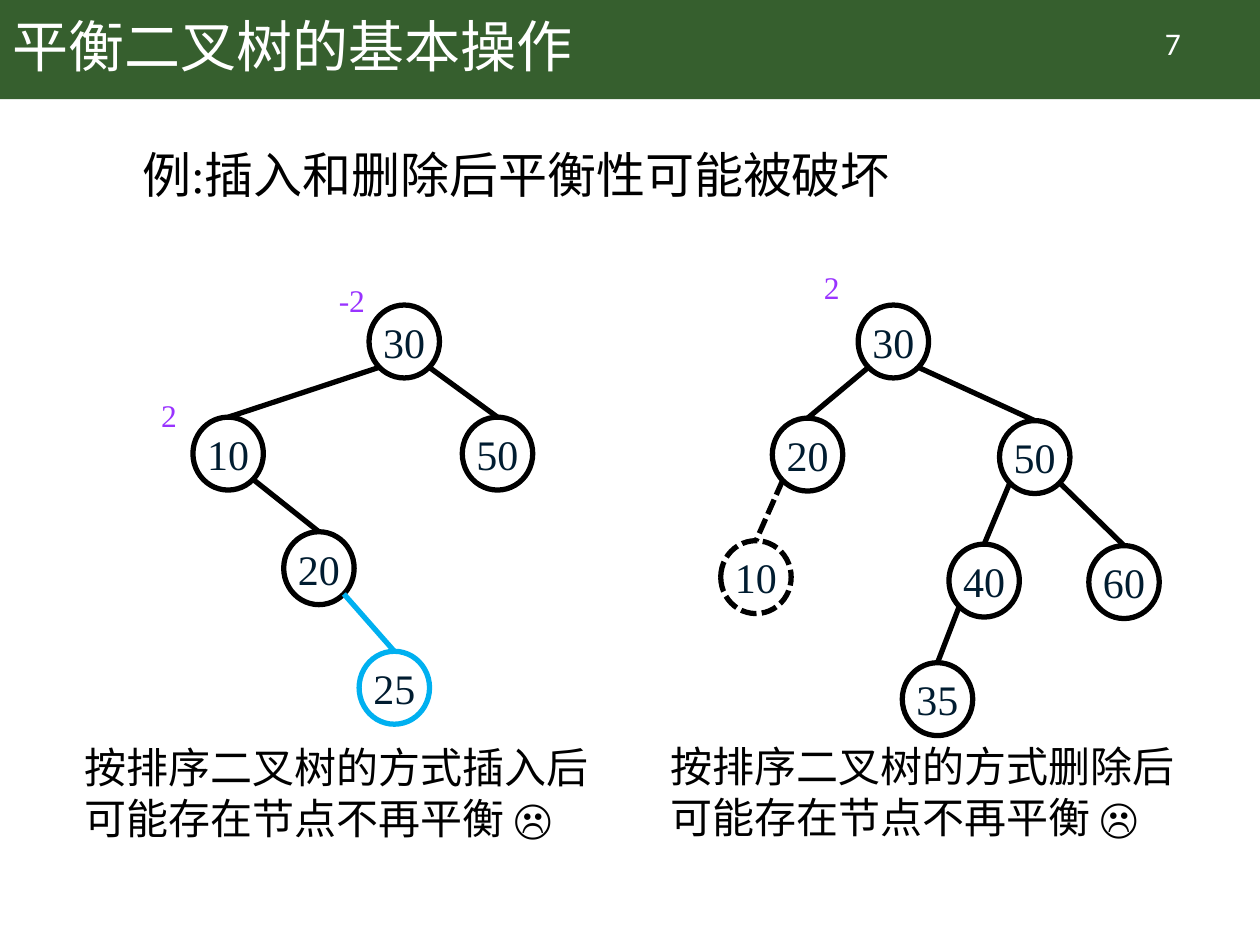
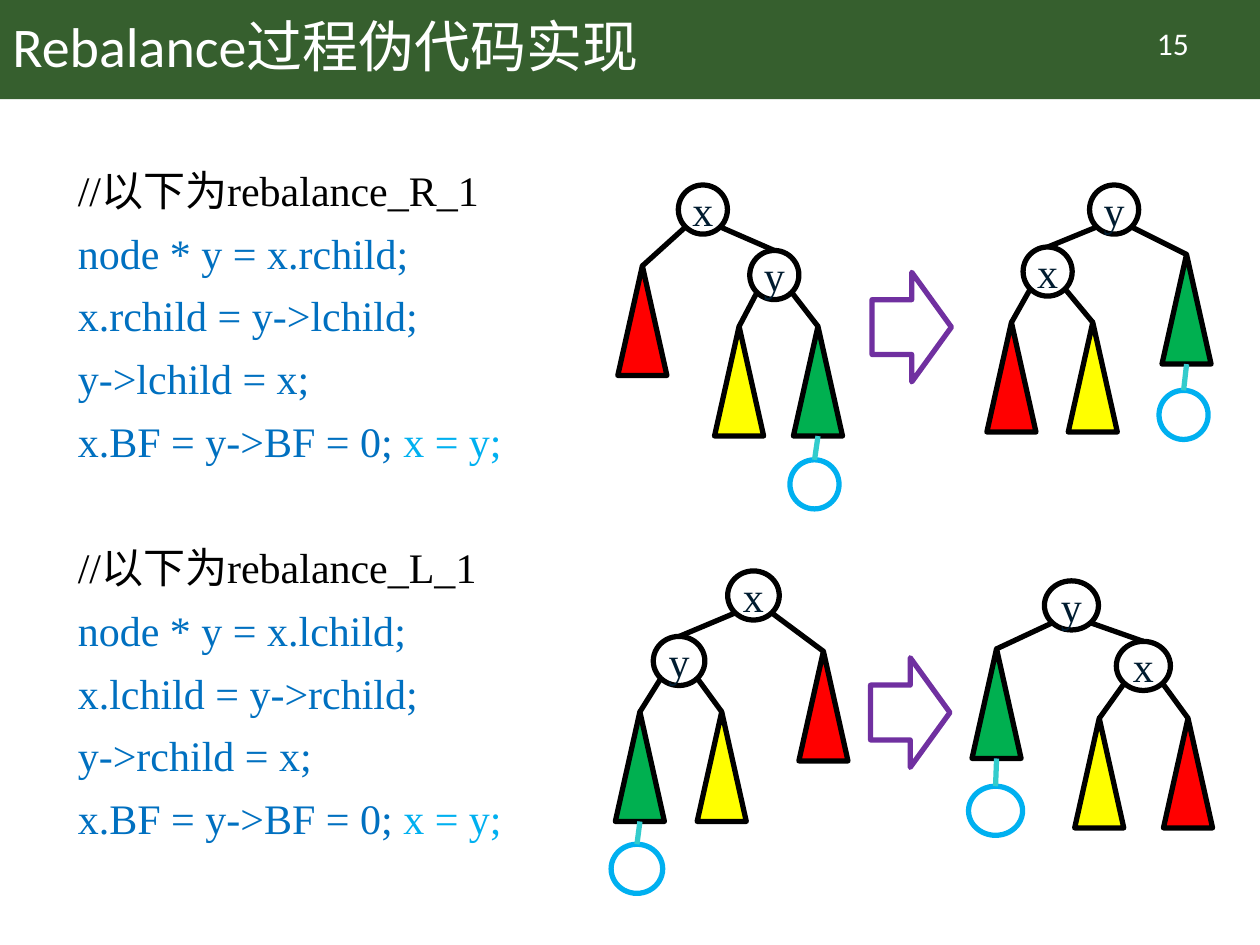
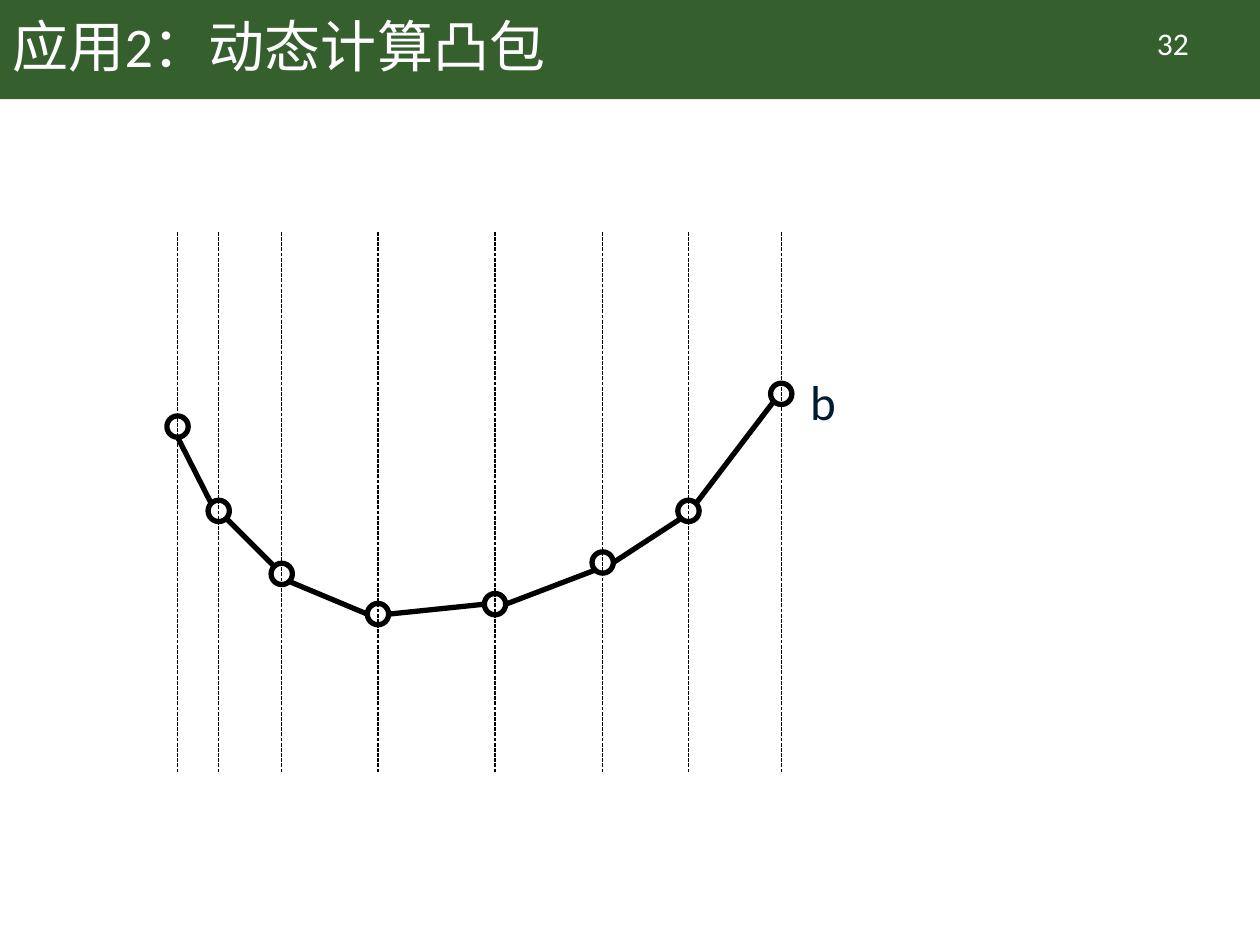
import math

import lxml.etree
import pptx
import pptx.dml.color
import pptx.enum.dml
import pptx.enum.shapes
import pptx.enum.text
import pptx.oxml.ns
import pptx.util

Cm = pptx.util.Cm
Pt = pptx.util.Pt
FORMS = pptx.enum.shapes.MSO_SHAPE
DASHED = pptx.enum.dml.MSO_LINE.SQUARE_DOT
CENTER = pptx.enum.text.PP_ALIGN.CENTER
MIDDLE = pptx.enum.text.MSO_ANCHOR.MIDDLE

COLORS = {
    "band": "365F2E", "white": "FFFFFF", "black": "000000", "label": "001C30",
    "balance": "9933FF", "code": "0070C0", "inserted": "00B0F0",
    "inserted edge": "33CCCC", "red": "FF0000", "yellow": "FFFF00",
    "green": "00B050", "arrow": "7030A0",
}
SERIF = "Times New Roman"
SANS = "Calibri"

# Line styles of tree parts: (outline, edge from the parent, dash)
OUTLINES = {
    "inserted": ("inserted", "inserted", None),
    "deleted": ("black", "black", DASHED),
    "new": ("inserted", "inserted edge", None),
}
PLAIN = ("black", "black", None)
SUBTREES = ("red", "yellow", "green")
SUBTREE_SIZE = (0.99, 2.21)

# Trees: (name, parent, centre x, top, kind)
INSERTION_TREE = [
    ("30", None, 8.15, 6.15, "key"), ("10", "30", 4.6, 8.41, "key"),
    ("50", "30", 10.03, 8.41, "key"), ("20", "10", 6.43, 10.72, "key"),
    ("25", "20", 7.95, 13.13, "inserted"),
]
DELETION_TREE = [
    ("30", None, 18.01, 6.15, "key"), ("20", "30", 16.28, 8.43, "key"),
    ("10", "20", 15.24, 10.9, "deleted"), ("50", "30", 20.86, 8.48, "key"),
    ("40", "50", 19.84, 10.97, "key"), ("35", "40", 18.9, 13.36, "key"),
    ("60", "50", 22.66, 11, "key"),
]
# Rotation trees, each with the width of its circles
ROTATION_TREES = [
    (0.99, [("x", None, 14.17, 3.73, "key"), ("red", "x", 12.95, 5.36, "red"),
            ("y", "x", 15.61, 5.05, "key"), ("yellow", "y", 14.9, 6.58, "yellow"),
            ("green", "y", 16.49, 6.58, "green"), ("", "green", 16.42, 9.27, "new")]),
    (0.99, [("y", None, 22.46, 3.73, "key"), ("x", "y", 21.12, 4.98, "key"),
            ("red", "x", 20.39, 6.5, "red"), ("yellow", "x", 22.03, 6.5, "yellow"),
            ("green", "y", 23.92, 5.13, "green"), ("", "green", 23.86, 7.87, "new")]),
    (1.04, [("x", None, 15.19, 11.51, "key"), ("red", "x", 16.6, 13.13, "red"),
            ("y", "x", 13.69, 12.83, "key"), ("yellow", "y", 14.55, 14.35, "yellow"),
            ("green", "y", 12.9, 14.35, "green"), ("", "green", 12.84, 17.02, "new")]),
    (1.09, [("y", None, 21.6, 11.71, "key"), ("x", "y", 23.05, 12.93, "key"),
            ("red", "x", 23.95, 14.48, "red"), ("yellow", "x", 22.16, 14.48, "yellow"),
            ("green", "y", 20.09, 13.08, "green"), ("", "green", 20.07, 15.85, "new")]),
]

# Hull points from left to right, and the rim angles where each edge leaves and arrives
HULL = [(3.58, 8.6), (4.41, 10.3), (5.68, 11.57), (7.62, 12.38),
        (9.98, 12.18), (12.15, 11.34), (13.88, 10.3), (15.75, 7.94)]
LEAVE = [90, 45, 45, 0, 0, 0, -45]
ARRIVE = [225, 225, 180, 180, 135, 135, 135]


def rgb(name):
    return pptx.dml.color.RGBColor.from_string(COLORS[name])


def apply_format(target, values):
    for attribute, value in values.items():
        setattr(target, attribute, value)


def write(paragraph, runs, size, font):
    """Add runs given as (text, colour) pairs."""
    for text, color in runs:
        run = paragraph.add_run()
        run.text = text
        apply_format(run.font, {"size": Pt(size), "name": font})
        run.font.color.rgb = rgb(color)


def add_text(slide, box, paragraphs, size, font=SERIF, frame_format=None,
             paragraph_format=None):
    frame = slide.shapes.add_textbox(*map(Cm, box)).text_frame
    apply_format(frame, {"word_wrap": True, **(frame_format or {})})
    for index, runs in enumerate(paragraphs):
        paragraph = frame.add_paragraph() if index else frame.paragraphs[0]
        apply_format(paragraph, paragraph_format or {})
        write(paragraph, runs, size, font)
    return frame


def add_form(slide, form, box, fill=None, line=None, dash=None):
    shape = slide.shapes.add_shape(form, *map(Cm, box))
    shape.shadow.inherit = False
    if fill:
        shape.fill.solid()
        shape.fill.fore_color.rgb = rgb(fill)
    else:
        shape.fill.background()
    if line:
        apply_format(shape.line, {"width": Pt(3), "dash_style": dash})
        shape.line.color.rgb = rgb(line)
    else:
        shape.line.fill.background()
    return shape


def add_line(slide, start, end, color="black", width=3, dash=None):
    line = slide.shapes.add_connector(
        pptx.enum.shapes.MSO_CONNECTOR.STRAIGHT, *start, *end)
    line.line.color.rgb = rgb(color)
    apply_format(line.line, {"width": Pt(width), "dash_style": dash})
    lxml.etree.SubElement(line._element.spPr, pptx.oxml.ns.qn("a:effectLst"))
    return line


def rim(oval, degrees):
    """Point on the rim of an oval, clockwise from its right side."""
    angle = math.radians(degrees)
    return (round(oval.left + oval.width / 2 * (1 + math.cos(angle))),
            round(oval.top + oval.height / 2 * (1 + math.sin(angle))))


def add_tree(slide, tree, oval_size):
    parts = {}
    for name, parent, center, top, kind in tree:
        outline, _, dash = OUTLINES.get(kind, PLAIN)
        is_subtree = kind in SUBTREES
        width, height = SUBTREE_SIZE if is_subtree else oval_size
        part = add_form(slide, FORMS.ISOSCELES_TRIANGLE if is_subtree else FORMS.OVAL,
                        (center - width / 2, top, width, height),
                        kind if is_subtree else None, outline, dash)
        if name and not is_subtree:
            apply_format(part.text_frame, dict.fromkeys(
                ("margin_left", "margin_top", "margin_right", "margin_bottom"), 0))
            part.text_frame.vertical_anchor = MIDDLE
            part.text_frame.paragraphs[0].alignment = CENTER
            write(part.text_frame.paragraphs[0], [(name, "label")], 24, SERIF)
        parts[name] = part

    for name, parent, _, _, kind in tree:
        if parent is None:
            continue
        _, color, dash = OUTLINES.get(kind, PLAIN)
        upper, lower = parts[parent], parts[name]
        if parent in SUBTREES:
            start = (upper.left + upper.width // 2, upper.top + upper.height)
        else:
            start = rim(upper, 135 if lower.left < upper.left else 45)
        edge = add_line(slide, start, (lower.left + lower.width // 2, lower.top),
                        color, dash=dash)
        edge.end_connect(lower, 0)


def add_slide(deck, title, number):
    """Slide with the green band, its title and the page number."""
    slide = deck.slides.add_slide(deck.slide_layouts[6])
    add_form(slide, FORMS.RECTANGLE, (0, 0, 25.4, 2), "band")
    add_text(slide, (22.12, 0.36, 3.05, 1.02), [[(number, "white")]], 18, SANS,
             paragraph_format={"alignment": CENTER})
    add_text(slide, (0, 0, 21.9, 2), [[(title, "white")]], 32, SANS,
             {"vertical_anchor": MIDDLE}, {"line_spacing": 0.9})
    return slide


def build_balance_slide(deck):
    slide = add_slide(deck, "平衡二叉树的基本操作", "7")
    add_text(slide, (2.62, 2.92, 20.78, 2.29),
             [[("例:插入和删除后平衡性可能被破坏", "black")]], 28,
             paragraph_format={"line_spacing": 0.9})
    for tree in (INSERTION_TREE, DELETION_TREE):
        add_tree(slide, tree, (1.42, 1.47))
    # Captions under the trees
    for action, left, top in (("插入", 1.45, 14.83), ("删除", 13.26, 14.81)):
        add_text(slide, (left, top, 10.77, 2.31),
                 [[(f"按排序二叉树的方式{action}后", "black")],
                  [("可能存在节点不再平衡 ☹", "black")]], 24,
                 frame_format={"word_wrap": False})
    # Balance factors
    for factor, left, top in (("2", 3, 7.85), ("-2", 6.58, 5.54), ("2", 16.36, 5.28)):
        add_text(slide, (left, top, 1.14, 1.02), [[(factor, "balance")]], 18)


def rotation_code(name, near, far):
    return [
        [(f"//以下为{name}", "black")],
        [(f"node * y = x.{near};", "code")],
        [(f"x.{near} = y->{far};", "code")],
        [(f"y->{far} = x;", "code")],
        [("x.BF = y->BF = 0; ", "code"), ("x = y;", "inserted")],
    ]


def build_rotation_slide(deck):
    slide = add_slide(deck, "Rebalance过程伪代码实现", "15")
    right_case = rotation_code("rebalance_R_1", "rchild", "lchild")
    left_case = rotation_code("rebalance_L_1", "lchild", "rchild")
    code = add_text(slide, (1.32, 3.3, 11.51, 13.72), right_case + left_case, 24,
                    paragraph_format={"line_spacing": 0.9, "space_before": Pt(10)})
    code.paragraphs[0].space_before = Pt(0)
    code.paragraphs[len(right_case)].space_before = Pt(46)
    for width, tree in ROTATION_TREES:
        add_tree(slide, tree, (width, 0.99))
    for left, top in ((17.58, 5.49), (17.55, 13.26)):
        add_form(slide, FORMS.RIGHT_ARROW, (left, top, 1.6, 2.21), line="arrow")


def build_hull_slide(deck):
    slide = add_slide(deck, "应用2：动态计算凸包", "32")
    size = 0.43
    points = [add_form(slide, FORMS.OVAL, (x - size / 2, y - size / 2, size, size),
                       "white", "black") for x, y in HULL]
    for start, end, leave, arrive in zip(points, points[1:], LEAVE, ARRIVE):
        add_line(slide, rim(start, leave), rim(end, arrive))
    for x, _ in HULL:
        add_line(slide, (Cm(x), Cm(15.57)), (Cm(x), Cm(4.67)), width=0.75, dash=DASHED)
    add_text(slide, (16.08, 7.37, 1.22, 1.45), [[("b", "label")]], 28, SANS)


def main():
    deck = pptx.Presentation()
    apply_format(deck, {"slide_width": Cm(25.4), "slide_height": Cm(19.05)})
    build_balance_slide(deck)
    build_rotation_slide(deck)
    build_hull_slide(deck)
    deck.save("out.pptx")


if __name__ == "__main__":
    main()
